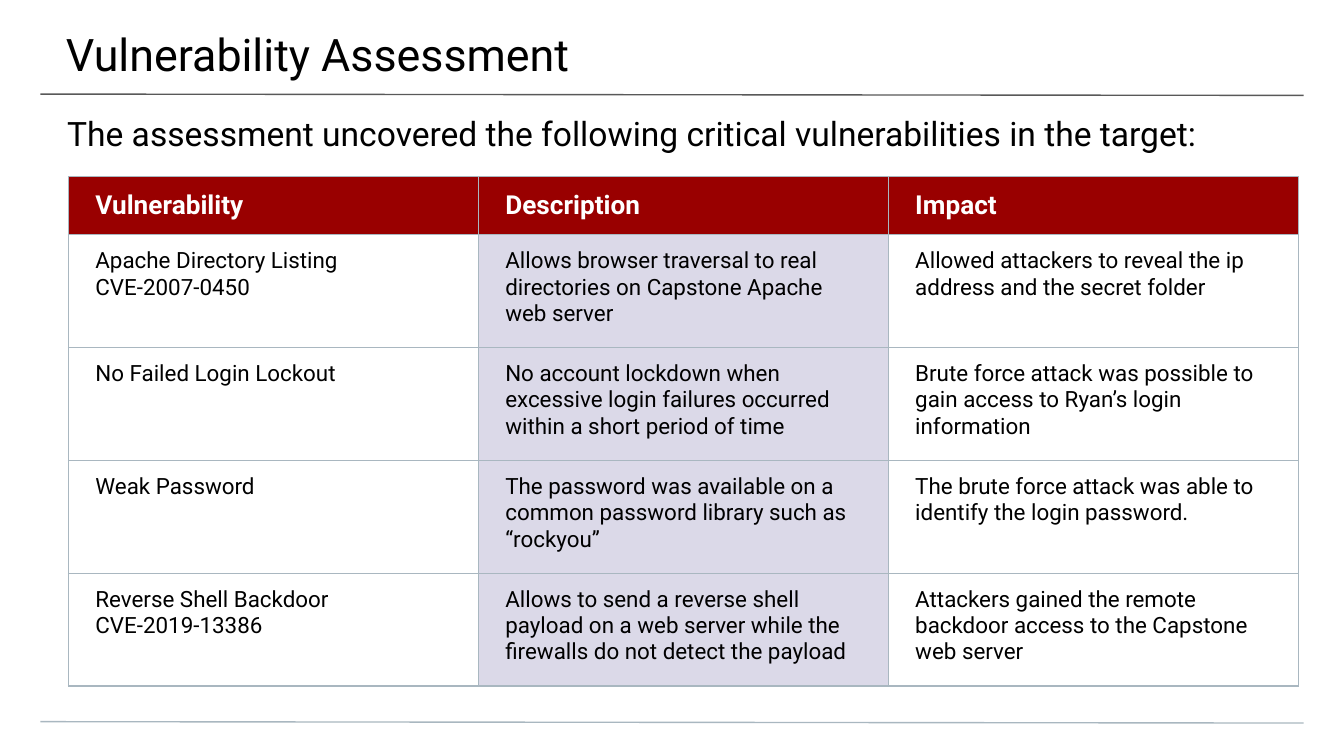
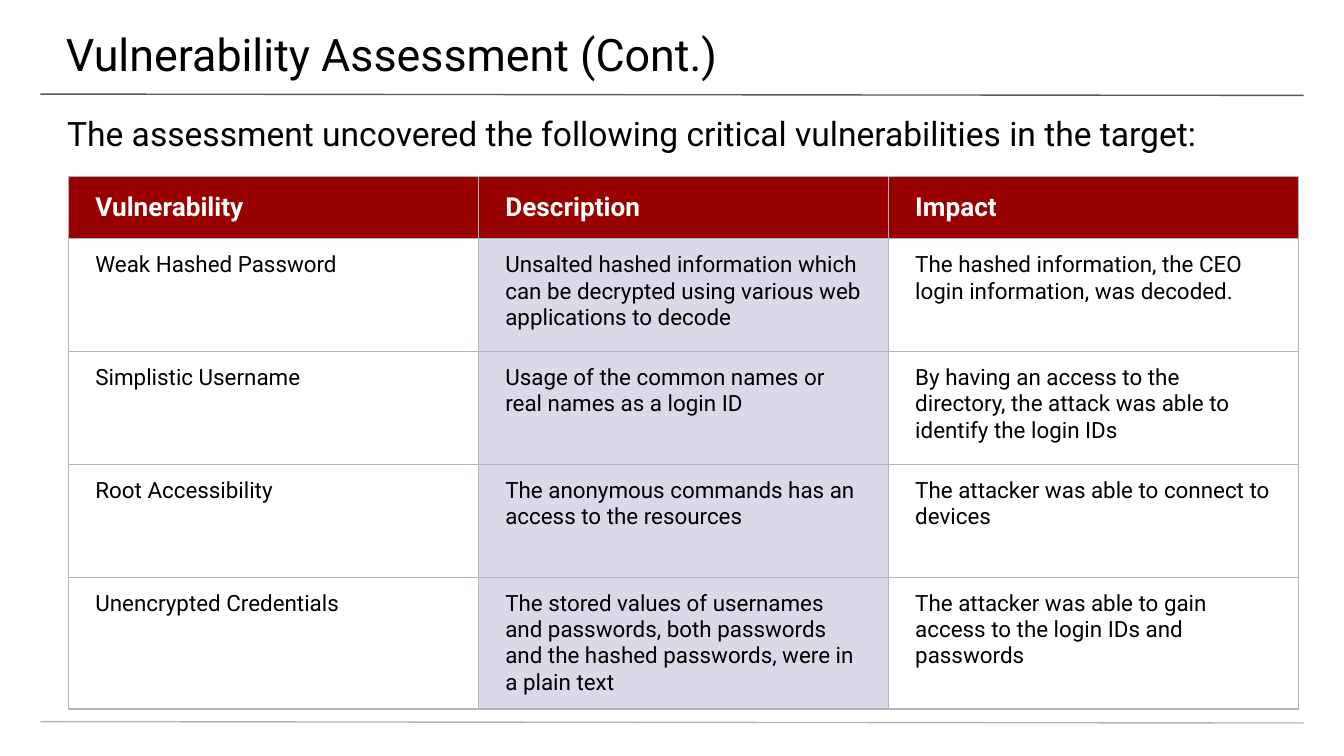
"""Builds the two vulnerability assessment slides."""
from dataclasses import dataclass

from lxml.etree import SubElement
from pptx import Presentation
from pptx.dml.color import RGBColor
from pptx.enum.shapes import MSO_CONNECTOR
from pptx.enum.text import MSO_ANCHOR, MSO_AUTO_SIZE, PP_ALIGN
from pptx.oxml.ns import qn
from pptx.util import Emu, Pt

INTRO = "The assessment uncovered the following critical vulnerabilities in the target:"
HEADINGS = ("Vulnerability", "Description", "Impact")
ASSESSMENTS = [
    {
        "title": "Vulnerability Assessment",
        "heading_height": 86,
        "findings": [
            ("Apache Directory Listing\nCVE-2007-0450",
             "Allows browser traversal to real directories on Capstone Apache web server",
             "Allowed attackers to reveal the ip address and the secret folder"),
            ("No Failed Login Lockout",
             "No account lockdown when excessive login failures occurred within a short period of time",
             "Brute force attack was possible to gain access to Ryan’s login information"),
            ("Weak Password",
             "The password was available on a common password library such as “rockyou”",
             "The brute force attack was able to identify the login password."),
            ("Reverse Shell Backdoor\nCVE-2019-13386",
             "Allows to send a reverse shell payload on a web server while the firewalls "
             "do not detect the payload",
             "Attackers gained the remote backdoor access to the Capstone web server"),
        ],
    },
    {
        "title": "Vulnerability Assessment (Cont.)",
        "heading_height": 92,
        "findings": [
            ("Weak Hashed Password",
             "Unsalted hashed information which can be decrypted using various web "
             "applications to decode",
             "The hashed information, the CEO login information, was decoded."),
            ("Simplistic Username",
             "Usage of the common names or real names as a login ID",
             "By having an access to the directory, the attack was able to identify the login IDs"),
            ("Root Accessibility",
             "The anonymous commands has an access to the resources",
             "The attacker was able to connect to devices"),
            ("Unencrypted Credentials",
             "The stored values of usernames and passwords, both passwords and the hashed "
             "passwords, were in a plain text",
             "The attacker was able to gain access to the login IDs and passwords"),
        ],
    },
]


@dataclass(frozen=True)
class Theme:
    font: str = "Roboto"
    ink: str = "000000"
    paper: str = "FFFFFF"
    heading_fill: str = "990000"
    description_fill: str = "DBD9E8"
    title_rule: str = "595959"
    grid: str = "A9B7C0"
    title_size: int = 24
    intro_size: int = 18
    heading_size: int = 14
    finding_size: int = 12
    line_width: float = 0.75


THEME = Theme()
EMU_PER_PX = 4572
SLIDE_SIZE = (2000, 1125)
RULES = [(140, THEME.title_rule), (1074, THEME.grid)]
RULE_LEFT, RULE_RIGHT, RULE_DROP = 60, 1940, 2
TITLE_BOX = (-2, 0, 2006, 116)
TITLE_INSETS = (100, 40, 60, 20)
INTRO_BOX = (0, 148, 2000, 80)
INTRO_INSETS = (100, 20, 100, 0)
TABLE_LEFT, TABLE_TOP = 102, 263
COLUMN_WIDTH, FINDING_HEIGHT = 610, 168
CELL_INSETS = (40, 20, 40, 20)


def px(length):
    return Emu(length * EMU_PER_PX)


def rgb(colour):
    return RGBColor.from_string(colour)


def set_insets(holder, insets):
    for side, inset in zip(("left", "top", "right", "bottom"), insets):
        setattr(holder, f"margin_{side}", px(inset))


def style_text(frame, size, colour=THEME.ink, bold=False):
    for paragraph in frame.paragraphs:
        paragraph.alignment = PP_ALIGN.LEFT
        font = paragraph.font
        font.name, font.size, font.bold = THEME.font, Pt(size), bold
        font.color.rgb = rgb(colour)


def fill_box(box, text, insets, size):
    frame = box.text_frame
    frame.text = text
    frame.word_wrap = True
    frame.auto_size = MSO_AUTO_SIZE.NONE
    frame.vertical_anchor = MSO_ANCHOR.TOP
    set_insets(frame, insets)
    style_text(frame, size)


def add_rule(slide, top, colour):
    rule = slide.shapes.add_connector(
        MSO_CONNECTOR.STRAIGHT,
        px(RULE_LEFT), px(top), px(RULE_RIGHT), px(top + RULE_DROP))
    rule.line.color.rgb = rgb(colour)
    rule.line.width = Pt(THEME.line_width)
    SubElement(rule._element.spPr, qn("a:effectLst"))


def add_borders(cell):
    properties = cell._tc.get_or_add_tcPr()
    for side in "LRTB":
        border = SubElement(properties, qn(f"a:ln{side}"), w=str(Pt(THEME.line_width)))
        SubElement(SubElement(border, qn("a:solidFill")), qn("a:srgbClr"), val=THEME.grid)


def fill_cell(cell, text, row, column):
    cell.text = text
    set_insets(cell, CELL_INSETS)
    add_borders(cell)
    if row == 0:
        cell.vertical_anchor = MSO_ANCHOR.MIDDLE
        style_text(cell.text_frame, THEME.heading_size, THEME.paper, bold=True)
        fill = THEME.heading_fill
    else:
        cell.vertical_anchor = MSO_ANCHOR.TOP
        style_text(cell.text_frame, THEME.finding_size)
        fill = THEME.description_fill if HEADINGS[column] == "Description" else None
    if fill:
        cell.fill.solid()
        cell.fill.fore_color.rgb = rgb(fill)
    else:
        cell.fill.background()


def add_findings(slide, findings, heading_height):
    rows = [HEADINGS, *findings]
    heights = [heading_height] + [FINDING_HEIGHT] * len(findings)
    table = slide.shapes.add_table(
        len(rows), len(HEADINGS), px(TABLE_LEFT), px(TABLE_TOP),
        px(COLUMN_WIDTH * len(HEADINGS)), px(sum(heights))).table
    table.first_row = table.horz_banding = False
    for column in table.columns:
        column.width = px(COLUMN_WIDTH)
    for row, (texts, height) in enumerate(zip(rows, heights)):
        table.rows[row].height = px(height)
        for column, text in enumerate(texts):
            fill_cell(table.cell(row, column), text, row, column)


def add_assessment(deck, assessment):
    slide = deck.slides.add_slide(deck.slide_layouts.get_by_name("Title Only"))
    slide.background.fill.solid()
    slide.background.fill.fore_color.rgb = rgb(THEME.paper)
    for top, colour in RULES:
        add_rule(slide, top, colour)
    title = slide.shapes.title
    title.left, title.top, title.width, title.height = map(px, TITLE_BOX)
    fill_box(title, assessment["title"], TITLE_INSETS, THEME.title_size)
    intro = slide.shapes.add_textbox(*map(px, INTRO_BOX))
    fill_box(intro, INTRO, INTRO_INSETS, THEME.intro_size)
    add_findings(slide, assessment["findings"], assessment["heading_height"])


def main():
    deck = Presentation()
    deck.slide_width, deck.slide_height = map(px, SLIDE_SIZE)
    for assessment in ASSESSMENTS:
        add_assessment(deck, assessment)
    deck.save("out.pptx")


if __name__ == "__main__":
    main()
